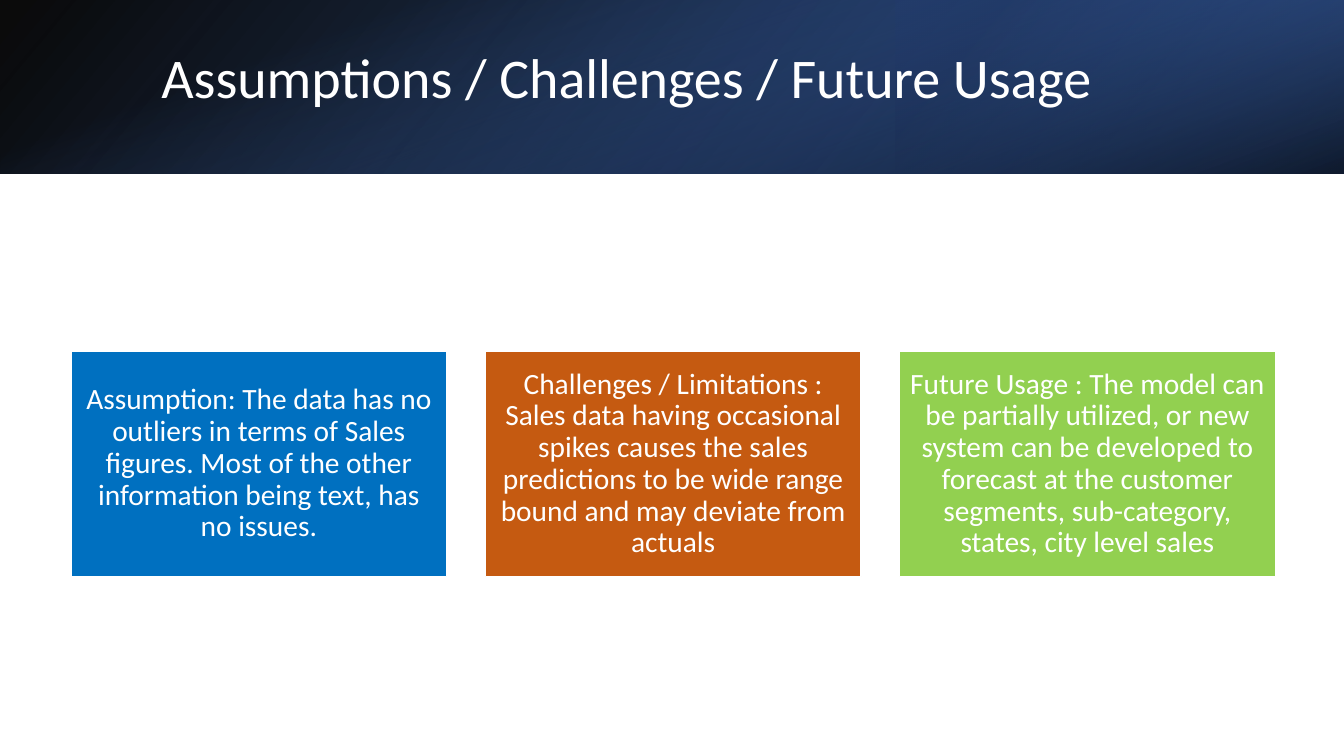
"""Build the slide on assumptions, challenges and future usage."""
from pptx import Presentation
from pptx.dml.color import RGBColor
from pptx.enum.shapes import MSO_SHAPE
from pptx.enum.text import MSO_ANCHOR, MSO_AUTO_SIZE, PP_ALIGN
from pptx.oxml import parse_xml
from pptx.oxml.ns import nsdecls, qn
from pptx.util import Cm, Pt

COLORS = {
    "white": "FFFFFF", "black": "000000", "deep": "2F5597", "navy": "203864",
    "sky": "4472C4", "blue": "0070C0", "orange": "C55A11", "green": "92D050",
}
FONT = "Calibri"
TITLE = "Assumptions / Challenges / Future Usage"
CARDS = [
    ("blue", "Assumption: The data has no outliers in terms of Sales figures. "
             "Most of the other information being text, has no issues."),
    ("orange", "Challenges / Limitations : Sales data having occasional spikes causes "
               "the sales predictions to be wide range bound and may deviate from actuals"),
    ("green", "Future Usage : The model can be partially utilized, or new system can be "
              "developed to forecast at the customer segments, sub-category, states, "
              "city level sales"),
]

WIDTH, HEIGHT, BANNER = 33.87, 19.05, 4.38
MIDDLE = (WIDTH - BANNER) / 2
BANDS = [
    {"frame": (0, 0, WIDTH, BANNER), "turn": 0, "flip": True, "angle": 140,
     "stops": [(0, "black", 96), (100, "deep", 100)]},
    {"frame": (WIDTH * 2 / 3, 0, WIDTH / 3, BANNER), "turn": 180, "flip": True, "angle": 320,
     "stops": [(19, "navy", 68), (100, "sky", 79)]},
    {"frame": (MIDDLE, -MIDDLE, BANNER, WIDTH), "turn": 90, "flip": False, "angle": 340,
     "stops": [(23, "sky", 0), (99, "black", 74)]},
]
CARD_LEFT, CARD_TOP, CARD_WIDTH, CARD_HEIGHT, CARD_GAP = 1.79, 8.85, 9.47, 5.68, 0.97


def color(name):
    return RGBColor.from_string(COLORS[name])


def add_rectangle(page, frame):
    shape = page.shapes.add_shape(MSO_SHAPE.RECTANGLE, *map(Cm, frame))
    shape.shadow.inherit = False
    return shape


def add_band(page, band):
    shape = add_rectangle(page, band["frame"])
    shape.rotation = band["turn"]
    properties = shape._element.spPr
    if band["flip"]:
        properties.find(qn("a:xfrm")).set("flipH", "1")
    shape.line.fill.background()
    shape.fill.gradient()
    shape.fill.gradient_angle = 360 - band["angle"]
    for stop, (position, name, _) in zip(shape.fill.gradient_stops, band["stops"]):
        stop.position = position / 100
        stop.color.rgb = color(name)
    for tint, (_, _, opacity) in zip(properties.iter(qn("a:srgbClr")), band["stops"]):
        tint.append(parse_xml(f'<a:alpha {nsdecls("a")} val="{opacity * 1000}"/>'))


def write(shape, text, size, alignment):
    frame = shape.text_frame
    frame.word_wrap = True
    frame.auto_size = MSO_AUTO_SIZE.NONE
    frame.vertical_anchor = MSO_ANCHOR.MIDDLE
    frame.text = text
    para = frame.paragraphs[0]
    para.alignment = alignment
    para.line_spacing = 0.9
    para.font.name = FONT
    para.font.size = Pt(size)
    para.font.color.rgb = color("white")


def add_title(page):
    title = page.shapes.title
    title.left, title.top, title.width, title.height = map(Cm, (3.81, 0.81, 27.89, 2.44))
    write(title, TITLE, 40, PP_ALIGN.LEFT)
    page.shapes._spTree.append(title._element)


def add_card(page, index, fill, text):
    left = CARD_LEFT + index * (CARD_WIDTH + CARD_GAP)
    card = add_rectangle(page, (left, CARD_TOP, CARD_WIDTH, CARD_HEIGHT))
    card.fill.solid()
    card.fill.fore_color.rgb = color(fill)
    card.line.color.rgb = color("white")
    card.line.width = Pt(1)
    frame = card.text_frame
    frame.margin_left = frame.margin_right = frame.margin_top = frame.margin_bottom = Cm(0.23)
    write(card, text, 21, PP_ALIGN.CENTER)


def main():
    deck = Presentation()
    deck.slide_width, deck.slide_height = Cm(WIDTH), Cm(HEIGHT)
    page = deck.slides.add_slide(deck.slide_layouts[5])
    for band in BANDS:
        add_band(page, band)
    add_title(page)
    for index, (fill, text) in enumerate(CARDS):
        add_card(page, index, fill, text)
    deck.save("out.pptx")


if __name__ == "__main__":
    main()
